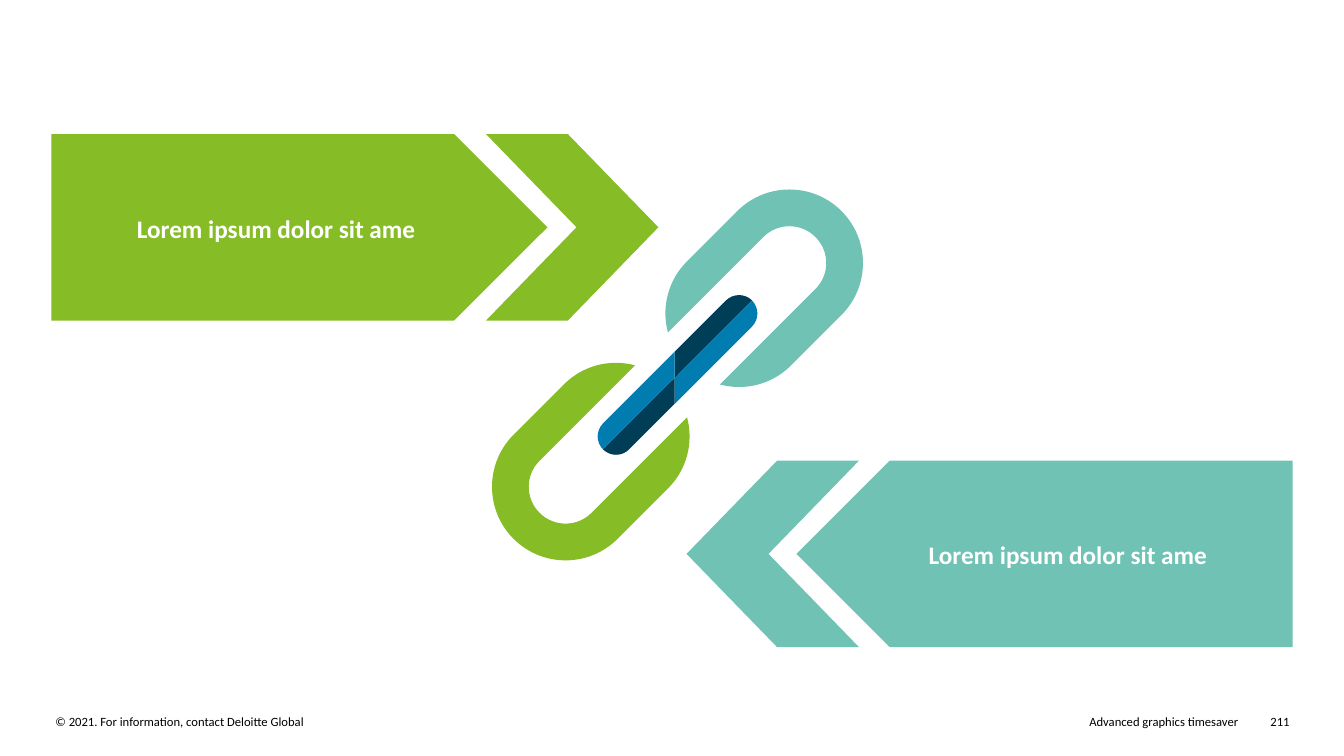
import math

import lxml.etree
import pptx
import pptx.dml.color
import pptx.enum.shapes
import pptx.enum.text
import pptx.oxml.ns
import pptx.util

Inches = pptx.util.Inches
RGBColor = pptx.dml.color.RGBColor
ShapeType = pptx.enum.shapes.MSO_SHAPE
Align = pptx.enum.text.PP_ALIGN
qn = pptx.oxml.ns.qn

GREEN = RGBColor(0x86, 0xBC, 0x25)
TEAL = RGBColor(0x6F, 0xC2, 0xB4)
BLUE = RGBColor(0x00, 0x7C, 0xB0)
NAVY = RGBColor(0x00, 0x3E, 0x58)
WHITE = RGBColor(0xFF, 0xFF, 0xFF)
BLACK = RGBColor(0x00, 0x00, 0x00)

# label, colour, top, banner left, chevron left, points left
BANNERS = [
    ("Lorem ipsum dolor sit ame", GREEN, 1.33, 0.51, 4.82, False),
    ("Lorem ipsum dolor sit ame", TEAL, 4.57, 7.9, 6.81, True),
]
BANNER_WIDTH, CHEVRON_WIDTH, BANNER_HEIGHT = 4.92, 1.71, 1.85

# text, left, width, alignment
FOOTER = [
    ("© 2021. For information, contact Deloitte Global", 0.55, 5.86, Align.LEFT),
    ("Advanced graphics timesaver", 6.93, 5.35, Align.RIGHT),
    ("211", 12.45, 0.34, Align.RIGHT),
]
FOOTER_TOP, FOOTER_HEIGHT = 7.08, 0.15

CHAIN_CENTER = (6.72, 3.72)
LINK_END, LINK_INNER = (5.61, 4.83), (6.11, 4.33)
LINK_RADIUS = 0.73
HOLE_RADIUS = LINK_RADIUS / 2
BAR_RADIUS = LINK_RADIUS / 4
BAR_SPLIT = (6.69, 3.75)

# center, radius, start and end angle in degrees, clockwise from the right
LINK_ARCS = [
    (LINK_END, LINK_RADIUS, 45, 225),
    (LINK_INNER, LINK_RADIUS, 225, 285),
    (LINK_END, HOLE_RADIUS, 225, 45),
    (LINK_INNER, LINK_RADIUS, -15, 45),
]

# colour, at the upper end, angle of the tip, angle of the side
BAR_PARTS = [
    (BLUE, True, -45, 45),
    (NAVY, False, 135, 45),
    (NAVY, True, -45, -135),
    (BLUE, False, 135, 225),
]
UNITS = 1000  # outline units to the inch


def on_circle(center, radius, degrees):
    angle = math.radians(degrees)
    return (UNITS * (center[0] + radius * math.cos(angle)),
            UNITS * (center[1] + radius * math.sin(angle)))


def arc_curves(center, radius, start, end):
    """Cubic curves of at most a quarter turn, each as two handles and an end."""
    count = math.ceil(abs(end - start) / 90)
    step = (end - start) / count
    reach = 4 / 3 * math.tan(math.radians(step) / 4)
    stretch, lean = math.hypot(1, reach), math.degrees(math.atan(reach))
    for i in range(count):
        first, last = start + step * i, start + step * (i + 1)
        yield [on_circle(center, radius * stretch, first + lean),
               on_circle(center, radius * stretch, last - lean),
               on_circle(center, radius, last)]


def half_turn(point):
    return (2 * CHAIN_CENTER[0] - point[0], 2 * CHAIN_CENTER[1] - point[1])


def paint(shape, color):
    shape.shadow.inherit = False
    shape.fill.solid()
    shape.fill.fore_color.rgb = color
    shape.line.fill.background()


def add_outline(page, color, arcs, corners=()):
    """A closed shape through the arcs in turn and then the corners."""
    corners = [(x * UNITS, y * UNITS) for x, y in corners]
    extent = [on_circle(center, radius, start + (end - start) * i / 60)
              for center, radius, start, end in arcs for i in range(61)] + corners
    builder = page.shapes.build_freeform(*extent[0], scale=Inches(1) / UNITS)
    builder.add_line_segments(extent[1:], close=True)
    shape = builder.convert_to_shape()
    paint(shape, color)

    steps = []
    for arc in arcs:
        steps.append(("a:lnTo" if steps else "a:moveTo", [on_circle(*arc[:3])]))
        steps += [("a:cubicBezTo", curve) for curve in arc_curves(*arc)]
    steps += [("a:lnTo", [corner]) for corner in corners]
    steps.append(("a:close", []))

    left, top = min(x for x, y in extent), min(y for x, y in extent)
    outline = next(shape.element.iter(qn("a:path")))
    for child in list(outline):
        outline.remove(child)
    for tag, points in steps:
        step = lxml.etree.SubElement(outline, qn(tag))
        for x, y in points:
            lxml.etree.SubElement(step, qn("a:pt"),
                                  x=str(round(x - left)), y=str(round(y - top)))


def add_arrow(page, kind, left, top, width, color, points_left):
    arrow = page.shapes.add_shape(
        kind, Inches(left), Inches(top), Inches(width), Inches(BANNER_HEIGHT))
    paint(arrow, color)
    if points_left:
        arrow.element.spPr.xfrm.set("flipH", "1")
    return arrow


def write(shape, text, margin, alignment, anchor, font):
    frame = shape.text_frame
    frame.word_wrap = True
    frame.vertical_anchor = anchor
    for side in ("left", "top", "right", "bottom"):
        setattr(frame, "margin_" + side, Inches(margin))
    para = frame.paragraphs[0]
    para.alignment = alignment
    span = para.add_run()
    span.text = text
    span.font.color.rgb = font["color"]
    for name in ("name", "size", "bold"):
        setattr(span.font, name, font[name])
    return para


def main():
    deck = pptx.Presentation()
    deck.slide_width, deck.slide_height = Inches(13.33), Inches(7.5)
    page = deck.slides.add_slide(deck.slide_layouts[6])

    footer_font = {"name": "Calibri", "size": pptx.util.Pt(9), "bold": False, "color": BLACK}
    for text, left, width, alignment in FOOTER:
        box = page.shapes.add_textbox(
            Inches(left), Inches(FOOTER_TOP), Inches(width), Inches(FOOTER_HEIGHT))
        write(box, text, 0, alignment, pptx.enum.text.MSO_ANCHOR.TOP, footer_font)

    add_outline(page, GREEN, LINK_ARCS)
    add_outline(page, TEAL, [(half_turn(center), radius, start + 180, end + 180)
                             for center, radius, start, end in LINK_ARCS])

    split_x, split_y = BAR_SPLIT
    for color, upper, tip, side in BAR_PARTS:
        center = half_turn(LINK_INNER) if upper else LINK_INNER
        edge = math.copysign(BAR_RADIUS * math.sqrt(2), math.sin(math.radians(side)))
        add_outline(page, color, [(center, BAR_RADIUS, tip, side)],
                    [(split_x, split_y + edge), BAR_SPLIT])

    label_font = {"name": "Calibri", "size": pptx.util.Pt(18), "bold": True, "color": WHITE}
    for label, color, top, left, chevron_left, points_left in BANNERS:
        banner = add_arrow(page, ShapeType.PENTAGON, left, top, BANNER_WIDTH, color, points_left)
        para = write(banner, label, 0.1, Align.CENTER,
                     pptx.enum.text.MSO_ANCHOR.MIDDLE, label_font)
        para.line_spacing = 1.06
        chevron = add_arrow(page, ShapeType.CHEVRON, chevron_left, top, CHEVRON_WIDTH,
                            color, points_left)
        chevron.adjustments[0] = 0.525

    deck.save("out.pptx")


if __name__ == "__main__":
    main()
